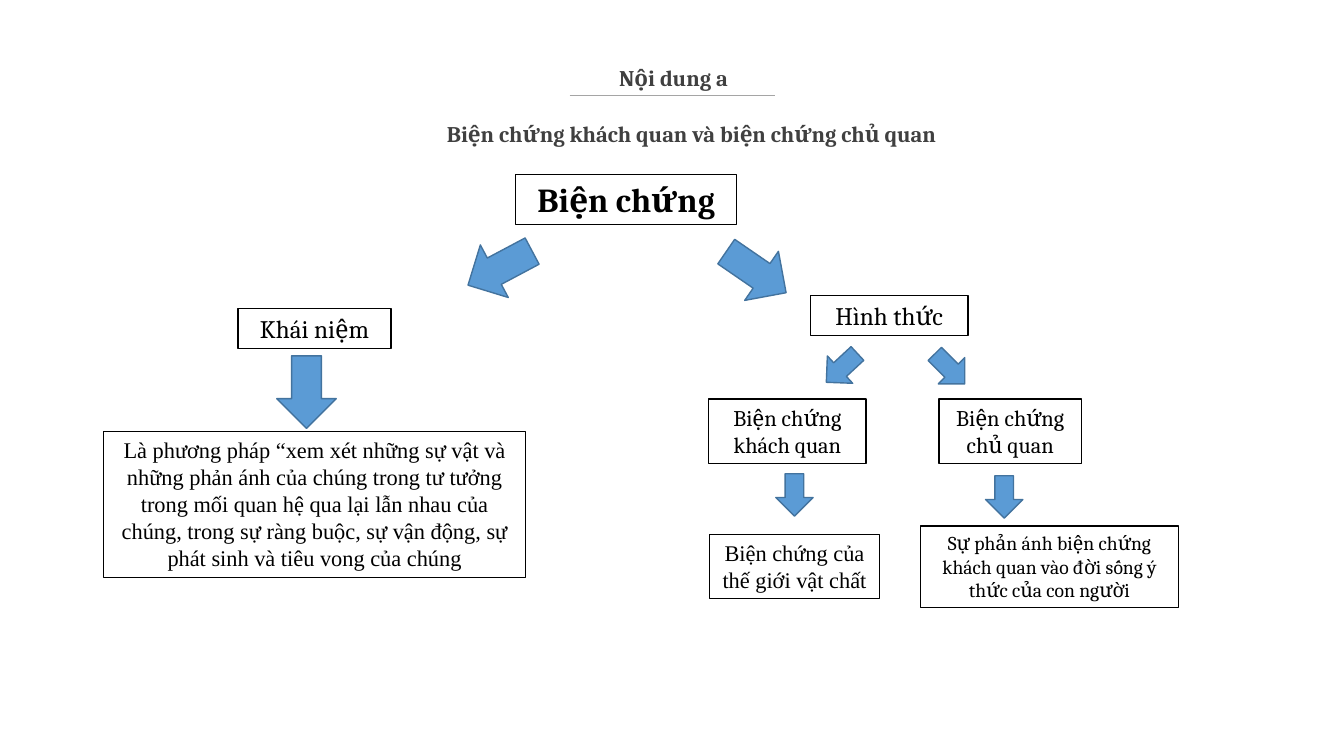
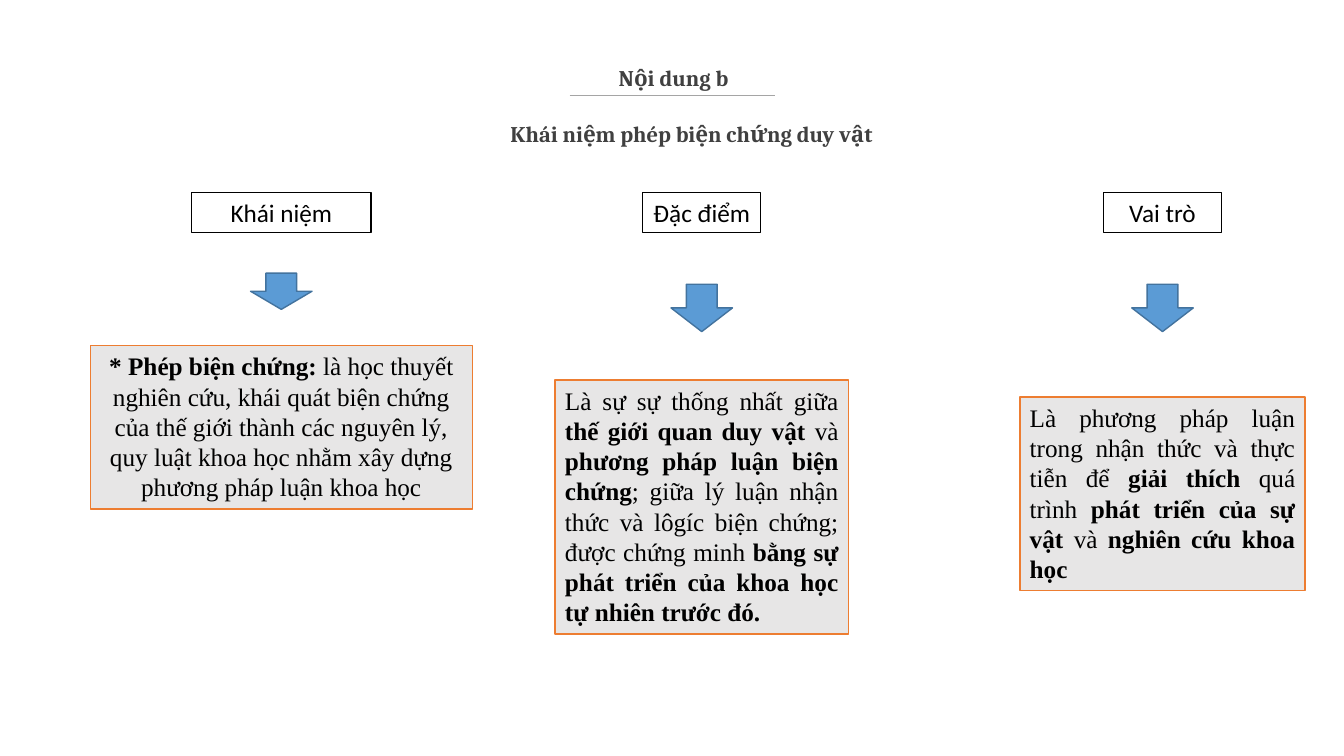
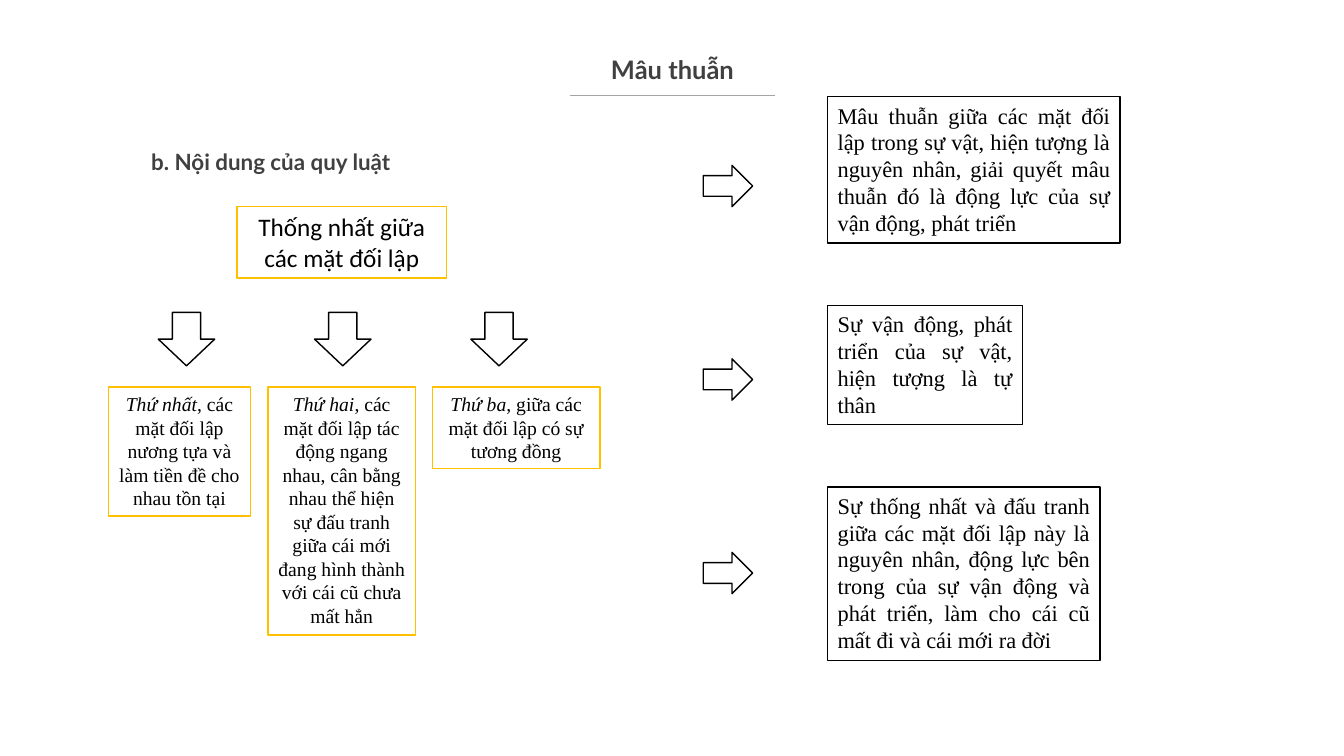
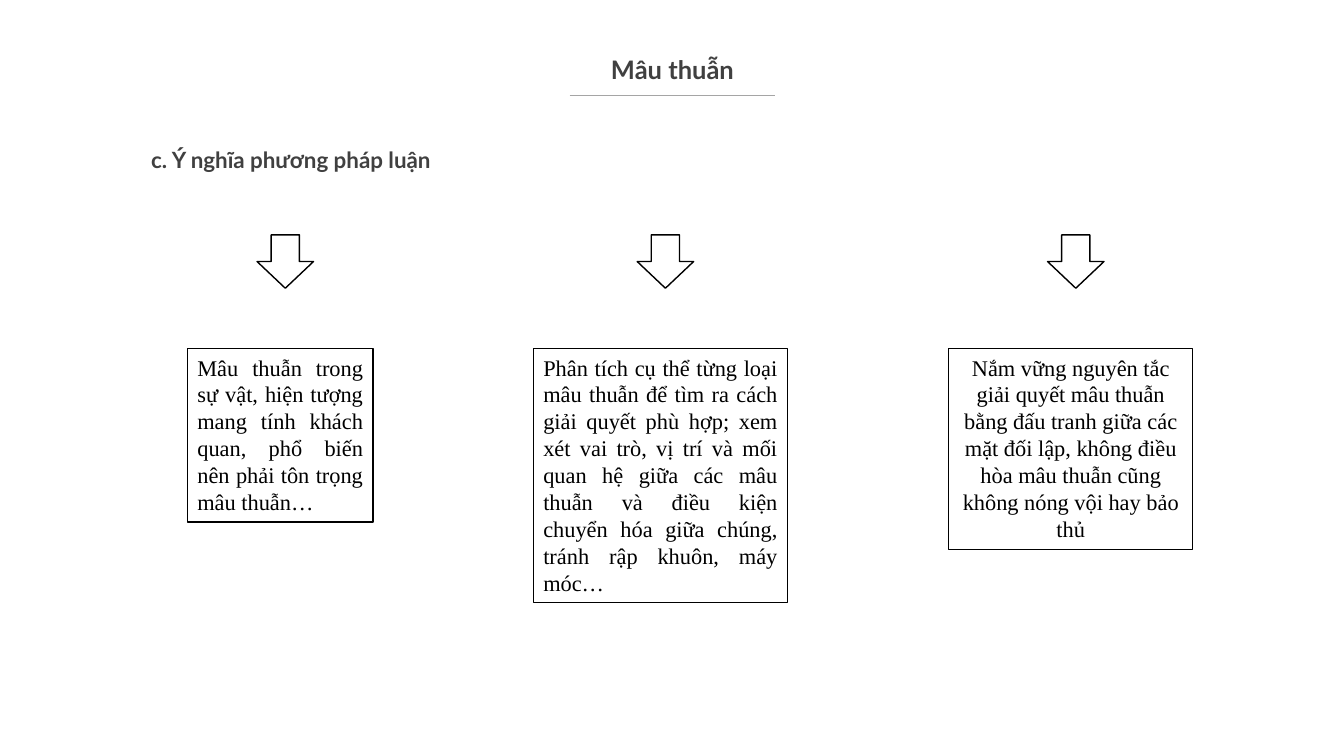
"""Build four slides on dialectics: boxes of text joined by block arrows."""
from dataclasses import dataclass

from lxml.etree import SubElement
from pptx import Presentation
from pptx.dml.color import RGBColor
from pptx.enum.shapes import MSO_CONNECTOR, MSO_SHAPE
from pptx.enum.text import MSO_ANCHOR, PP_ALIGN
from pptx.oxml.ns import qn
from pptx.util import Inches, Pt

CELL = Inches(1)
COLUMNS, ROWS = 13.33, 7.5
WHITE, BLACK, GREY, RULE = "FFFFFF", "000000", "404040", "A5A5A5"
BLUE, NAVY, PALE, ORANGE, GOLD = "5B9BD5", "43739E", "E7E6E6", "ED7D31", "FFC000"
SERIF, ROMAN, SANS, TITLE = "Cambria", "Times New Roman", "Calibri", "Lato"
LEFT, CENTER, JUSTIFY = PP_ALIGN.LEFT, PP_ALIGN.CENTER, PP_ALIGN.JUSTIFY
DOWN, RIGHT = MSO_SHAPE.DOWN_ARROW, MSO_SHAPE.RIGHT_ARROW


@dataclass(frozen=True)
class Run:
    text: str
    bold: bool = False
    italic: bool = False


@dataclass(frozen=True)
class Style:
    font: str
    size: float
    align: PP_ALIGN = CENTER
    color: str = BLACK
    fill: str = WHITE
    line: str = BLACK
    spacing: float = 1.0


@dataclass(frozen=True)
class Box:
    center: float
    top: float
    width: float
    height: float
    runs: tuple[Run, ...]
    style: Style


@dataclass(frozen=True)
class Arrow:
    center: float
    top: float
    width: float
    height: float
    rotation: float = 0
    shape: MSO_SHAPE = DOWN
    fill: str = WHITE
    line: str = BLACK


HEADING = Style(SERIF, 16, color=GREY)
TOPIC = Style(TITLE, 18.2, color=GREY, spacing=0.8)
SECTION = Style(TITLE, 16, LEFT, GREY)
ROOT = Style(SERIF, 24)
BRANCH = Style(SERIF, 18)
LEAF = Style(SERIF, 16)
SMALL_LEAF = Style(SERIF, 14)
BODY = Style(ROMAN, 16)
BODY_JUSTIFIED = Style(ROMAN, 16, JUSTIFY)
LABEL = Style(SANS, 18)
GOLD_LABEL = Style(SANS, 18, line=GOLD)
GOLD_BODY = Style(ROMAN, 14, line=GOLD)
PANEL = Style(ROMAN, 18, fill=PALE, line=ORANGE)
PANEL_JUSTIFIED = Style(ROMAN, 18, JUSTIFY, fill=PALE, line=ORANGE)


def rgb(color: str) -> RGBColor:
    """Turn a hex string into a colour."""
    return RGBColor.from_string(color)


def cells(*lengths: float) -> list[int]:
    """Turn columns and rows of the grid into slide units."""
    return [round(n * CELL) for n in lengths]


def write(tf, runs: tuple[Run, ...], style: Style) -> None:
    """Fill a text frame with one paragraph of runs."""
    tf.word_wrap = True
    p = tf.paragraphs[0]
    p.alignment = style.align
    p.line_spacing = style.spacing
    for run in runs:
        r = p.add_run()
        r.text = run.text
        r.font.name, r.font.size = style.font, Pt(style.size)
        r.font.bold, r.font.italic = run.bold, run.italic
        r.font.color.rgb = rgb(style.color)


def outline(s, shape: MSO_SHAPE, item: Box | Arrow, fill: str, line: str):
    """Add a filled preset shape around its centre column."""
    left = item.center - item.width / 2
    sp = s.shapes.add_shape(shape, *cells(left, item.top, item.width, item.height))
    sp.shadow.inherit = False
    sp.fill.solid()
    sp.fill.fore_color.rgb = rgb(fill)
    sp.line.color.rgb = rgb(line)
    sp.line.width = Pt(1)
    return sp


def draw_box(s, box: Box) -> None:
    """Draw a bordered box with its text at the top."""
    sp = outline(s, MSO_SHAPE.RECTANGLE, box, box.style.fill, box.style.line)
    sp.text_frame.vertical_anchor = MSO_ANCHOR.TOP
    write(sp.text_frame, box.runs, box.style)


def draw_arrow(s, arrow: Arrow) -> None:
    """Draw a block arrow."""
    sp = outline(s, arrow.shape, arrow, arrow.fill, arrow.line)
    sp.rotation = arrow.rotation


def draw_heading(s, left: float, top: float, text: str, style: Style) -> None:
    """Draw one line of heading text."""
    tf = s.shapes.add_textbox(*cells(left, top, 11.68, 0.47)).text_frame
    tf.margin_left = tf.margin_right = 0
    tf.margin_top = tf.margin_bottom = Inches(0.11)
    tf.vertical_anchor = MSO_ANCHOR.MIDDLE
    write(tf, (Run(text, bold=True),), style)


def draw_rule(s) -> None:
    """Draw the thin line under the title."""
    c = s.shapes.add_connector(MSO_CONNECTOR.STRAIGHT, *cells(5.65, 0.95, 7.69, 0.95))
    c.line.color.rgb = rgb(RULE)
    c.line.width = Pt(1)
    SubElement(c._element.spPr, qn("a:effectLst"))


def add_slide(prs, items: list[Box | Arrow]):
    """Add a blank slide with the title line, boxes and arrows."""
    s = prs.slides.add_slide(prs.slide_layouts[6])
    draw_rule(s)
    for item in items:
        if isinstance(item, Box):
            draw_box(s, item)
        else:
            draw_arrow(s, item)
    return s


def add_content_slide(prs, title: str, subtitle: str, items: list[Box | Arrow]) -> None:
    """Add a slide with two centred headings."""
    s = add_slide(prs, items)
    draw_heading(s, 0.84, 0.53, title, HEADING)
    draw_heading(s, 1.02, 1.09, subtitle, HEADING)


def add_topic_slide(prs, section: str, section_top: float, items: list[Box | Arrow]) -> None:
    """Add a slide of the contradiction topic with a section heading."""
    s = add_slide(prs, items)
    draw_heading(s, 0.83, 0.48, "Mâu thuẫn", TOPIC)
    draw_heading(s, 1.5, section_top, section, SECTION)


def blue_arrow(center: float, top: float, width: float, height: float, rotation: float = 0) -> Arrow:
    """Describe a blue down arrow."""
    return Arrow(center, top, width, height, rotation, fill=BLUE, line=NAVY)


def forms_of_dialectics(prs) -> None:
    """Build the tree of objective and subjective dialectics."""
    nodes = [
        (6.21, 1.73, 2.19, 0.5, "Biện chứng", ROOT),
        (3.12, 3.06, 1.52, 0.4, "Khái niệm", BRANCH),
        (8.82, 2.93, 1.56, 0.4, "Hình thức", BRANCH),
        (3.12, 4.28, 4.19, 1.45, "Là phương pháp “xem xét những sự vật và những phản ánh của chúng "
         "trong tư tưởng trong mối quan hệ qua lại lẫn nhau của chúng, trong sự ràng buộc, "
         "sự vận động, sự phát sinh và tiêu vong của chúng", BODY),
        (7.81, 3.96, 1.56, 0.64, "Biện chứng khách quan", LEAF),
        (10.02, 3.96, 1.41, 0.64, "Biện chứng chủ quan", LEAF),
        (7.88, 5.3, 1.69, 0.64, "Biện chứng của thế giới vật chất", BODY),
        (10.41, 5.22, 2.56, 0.81,
         "Sự phản ánh biện chứng khách quan vào đời sống ý thức của con người", SMALL_LEAF),
    ]
    boxes = [Box(*place, (Run(text, bold=style is ROOT),), style) for *place, text, style in nodes]
    large = [(4.96, 2.3, 62), (7.5, 2.34, -55.5), (3.04, 3.53, 0)]
    small = [(8.35, 3.44, 47.2), (9.42, 3.45, -44.9), (7.88, 4.7, 0), (9.96, 4.72, 0)]
    arrows = [blue_arrow(x, y, 0.59, 0.72, turn) for x, y, turn in large]
    arrows += [blue_arrow(x, y, 0.37, 0.42, turn) for x, y, turn in small]
    add_content_slide(prs, "Nội dung a", "Biện chứng khách quan và biện chứng chủ quan", boxes + arrows)


def materialist_dialectics(prs) -> None:
    """Build the columns of concept, features and role."""
    concept = (
        Run("* Phép biện chứng: ", bold=True),
        Run("là học thuyết nghiên cứu, khái quát biện chứng của thế giới thành các nguyên lý, "
            "quy luật khoa học nhằm xây dựng phương pháp luận khoa học"),
    )
    features = (
        Run("Là sự sự thống nhất giữa "),
        Run("thế giới quan duy vật ", bold=True),
        Run("và "),
        Run("phương pháp luận biện chứng", bold=True),
        Run("; giữa lý luận nhận thức và lôgíc biện chứng; được chứng minh "),
        Run("bằng sự phát triển của khoa học tự nhiên trước đó.", bold=True),
    )
    role = (
        Run("Là phương pháp luận trong nhận thức và thực tiễn để "),
        Run("giải thích ", bold=True),
        Run("quá trình "),
        Run("phát triển của sự vật ", bold=True),
        Run("và "),
        Run("nghiên cứu khoa học", bold=True),
    )
    columns = [
        (2.79, "Khái niệm", 1.78, (2.71, 0.36), (3.43, 3.79, 1.62), concept, PANEL),
        (6.96, "Đặc điểm", 1.17, (2.82, 0.47), (3.77, 2.91, 2.52), features, PANEL_JUSTIFIED),
        (11.53, "Vai trò", 1.17, (2.82, 0.47), (3.94, 2.83, 1.92), role, PANEL_JUSTIFIED),
    ]
    items = []
    for center, label, width, (top, height), panel, runs, style in columns:
        items += [
            Box(center, 1.91, width, 0.4, (Run(label),), LABEL),
            blue_arrow(center, top, 0.61, height),
            Box(center, *panel, runs, style),
        ]
    add_content_slide(prs, "Nội dung b", "Khái niệm phép biện chứng duy vật", items)


def law_content(prs) -> None:
    """Build the unity of opposites beside its three conclusions."""
    aspects = [
        (1.78, 1.41, 1.28, "Thứ nhất", ", các mặt đối lập nương tựa và làm tiền đề cho nhau tồn tại"),
        (3.39, 1.46, 2.46, "Thứ hai", ", các mặt đối lập tác động ngang nhau, cân bằng nhau thể hiện "
         "sự đấu tranh giữa cái mới đang hình thành với cái cũ chưa mất hẳn"),
        (5.12, 1.66, 0.81, "Thứ ba", ", giữa các mặt đối lập có sự tương đồng"),
    ]
    conclusions = [
        (0.96, 2.9, 1.45, "Mâu thuẫn giữa các mặt đối lập trong sự vật, hiện tượng là nguyên nhân, "
         "giải quyết mâu thuẫn đó là động lực của sự vận động, phát triển"),
        (3.03, 1.93, 1.18, "Sự vận động, phát triển của sự vật, hiện tượng là tự thân"),
        (4.83, 2.7, 1.72, "Sự thống nhất và đấu tranh giữa các mặt đối lập này là nguyên nhân, "
         "động lực bên trong của sự vận động và phát triển, làm cho cái cũ mất đi và cái mới ra đời"),
    ]
    items = [Box(3.39, 2.05, 2.08, 0.71, (Run("Thống nhất giữa các mặt đối lập"),), GOLD_LABEL)]
    for i, (center, width, height, order, text) in enumerate(aspects):
        runs = (Run(order, italic=True), Run(text))
        items += [
            Arrow(1.85 + 1.55 * i, 3.1, 0.56, 0.53),
            Box(center, 3.84, width, height, runs, GOLD_BODY),
        ]
    for i, (top, width, height, text) in enumerate(conclusions):
        items += [
            Arrow(7.22, 1.64 + 1.92 * i, 0.49, 0.41, shape=RIGHT),
            Box(8.21 + width / 2, top, width, height, (Run(text),), BODY_JUSTIFIED),
        ]
    add_topic_slide(prs, "b. Nội dung của quy luật", 1.37, items)


def method_meaning(prs) -> None:
    """Build the three lessons for method."""
    lessons = [
        (2.78, 1.84, 1.72, BODY_JUSTIFIED, "Mâu thuẫn trong sự vật, hiện tượng mang tính khách quan, "
         "phổ biến nên phải tôn trọng mâu thuẫn…"),
        (6.55, 2.52, 2.52, BODY_JUSTIFIED, "Phân tích cụ thể từng loại mâu thuẫn để tìm ra cách "
         "giải quyết phù hợp; xem xét vai trò, vị trí và mối quan hệ giữa các mâu thuẫn và "
         "điều kiện chuyển hóa giữa chúng, tránh rập khuôn, máy móc…"),
        (10.62, 2.42, 1.99, BODY, "Nắm vững nguyên tắc giải quyết mâu thuẫn bằng đấu tranh giữa "
         "các mặt đối lập, không điều hòa mâu thuẫn cũng không nóng vội hay bảo thủ"),
    ]
    items = []
    for center, width, height, style, text in lessons:
        items += [
            Arrow(center + 0.05, 2.33, 0.56, 0.53),
            Box(center, 3.46, width, height, (Run(text),), style),
        ]
    add_topic_slide(prs, "c. Ý nghĩa phương pháp luận", 1.35, items)


def main() -> None:
    """Build and save the presentation."""
    prs = Presentation()
    prs.slide_width, prs.slide_height = cells(COLUMNS, ROWS)
    for build in (forms_of_dialectics, materialist_dialectics, law_content, method_meaning):
        build(prs)
    prs.save("out.pptx")


if __name__ == "__main__":
    main()
